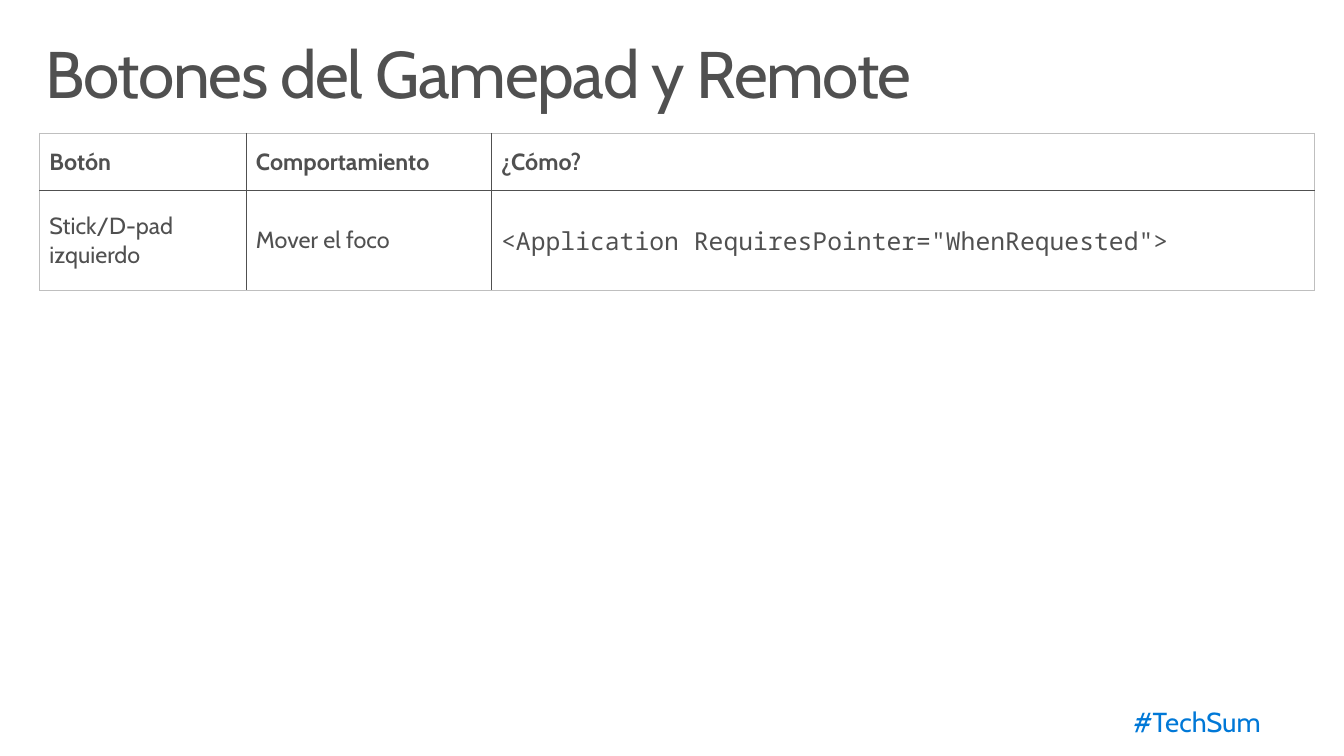
from lxml import etree
from pptx import Presentation
from pptx import util as u
from pptx.dml.color import RGBColor
from pptx.enum import text
from pptx.oxml.ns import qn

COLORS = {"ink": "505050", "accent": "0078D7", "frame": "BFBFBF", "paper": "FFFFFF"}
SANS, MONO = "Cabin", "Noto Sans Mono"


def write(tf, content, *, size, font=SANS, color="ink", bold=False,
          align=text.PP_ALIGN.LEFT, line=1.0, after=0, spacing=None):
    p = tf.paragraphs[0]
    p.alignment, p.line_spacing, p.space_after = align, line, u.Pt(after)
    r = p.add_run()
    r.text = content
    r.font.name, r.font.size, r.font.bold = font, u.Pt(size), bold
    r.font.color.rgb = RGBColor.from_string(COLORS[color])
    if spacing is not None:
        r.font._element.set("spc", str(spacing * 100))


class Deck:
    """Holds the current slide and draws elements in one style."""

    def __init__(self, prs):
        self.s = prs.slides.add_slide(prs.slide_layouts[6])

    def textbox(self, content, box, inset, **fmt):
        tf = self.s.shapes.add_textbox(*map(u.Cm, box)).text_frame
        tf.word_wrap = True
        tf.margin_left = tf.margin_right = u.Cm(inset[0])
        tf.margin_top = tf.margin_bottom = u.Cm(inset[1])
        write(tf, content, **fmt)

    def border(self, cell, sides):
        tcPr = cell._tc.get_or_add_tcPr()
        for i, (side, color) in enumerate(sides.items()):
            ln = etree.Element(qn("a:" + side), w=str(u.Pt(1)))
            fill = etree.SubElement(ln, qn("a:solidFill"))
            etree.SubElement(fill, qn("a:srgbClr"), val=COLORS[color])
            tcPr.insert(i, ln)

    def table(self, rows, left, top, widths, heights, formats):
        sp = self.s.shapes.add_table(len(heights), len(widths), u.Cm(left), u.Cm(top),
                                     u.Cm(sum(widths)), u.Cm(sum(heights)))
        tbl = sp.table
        for col, width in zip(tbl.columns, widths):
            col.width = u.Cm(width)
        for row, height in zip(tbl.rows, heights):
            row.height = u.Cm(height)
        last_row, last_col = len(heights) - 1, len(widths) - 1
        for i, row in enumerate(rows):
            for j, content in enumerate(row):
                cell = tbl.cell(i, j)
                cell.fill.solid()
                cell.fill.fore_color.rgb = RGBColor.from_string(COLORS["paper"])
                cell.vertical_anchor = text.MSO_ANCHOR.MIDDLE
                cell.margin_left = cell.margin_right = u.Cm(0.25)
                cell.margin_top = cell.margin_bottom = u.Cm(0.13)
                write(cell.text_frame, content, **formats[i][j])
                # Pale outer frame, dark inner rules
                outer = {"lnL": j == 0, "lnR": j == last_col,
                         "lnT": i == 0, "lnB": i == last_row}
                self.border(cell, {k: "frame" if v else "ink" for k, v in outer.items()})


def main():
    prs = Presentation()
    prs.slide_width, prs.slide_height = u.Cm(34.54), u.Cm(19.43)
    deck = Deck(prs)

    # Hashtag in the footer
    deck.textbox("#TechSum", (22.78, 17.83, 10.13, 1.6), (0.51, 0.41), size=20,
                 color="accent", align=text.PP_ALIGN.RIGHT, line=0.9, after=6)

    # Title
    deck.textbox("Botones del Gamepad y Remote", (0.76, 0.81, 33.02, 2.54),
                 (0.41, 0.25), size=48, line=0.9, spacing=-1)

    # Button table
    head, body, code = dict(size=17, bold=True), dict(size=17), dict(size=18, font=MONO)
    deck.table(
        [["Botón", "Comportamiento", "¿Cómo?"],
         ["Stick/D-pad izquierdo", "Mover el foco",
          '<Application RequiresPointer="WhenRequested">']],
        1.02, 3.43, [5.31, 6.3, 21.16], [1.47, 2.57],
        [[head] * 3, [body, body, code]])

    prs.save("out.pptx")


if __name__ == "__main__":
    main()
